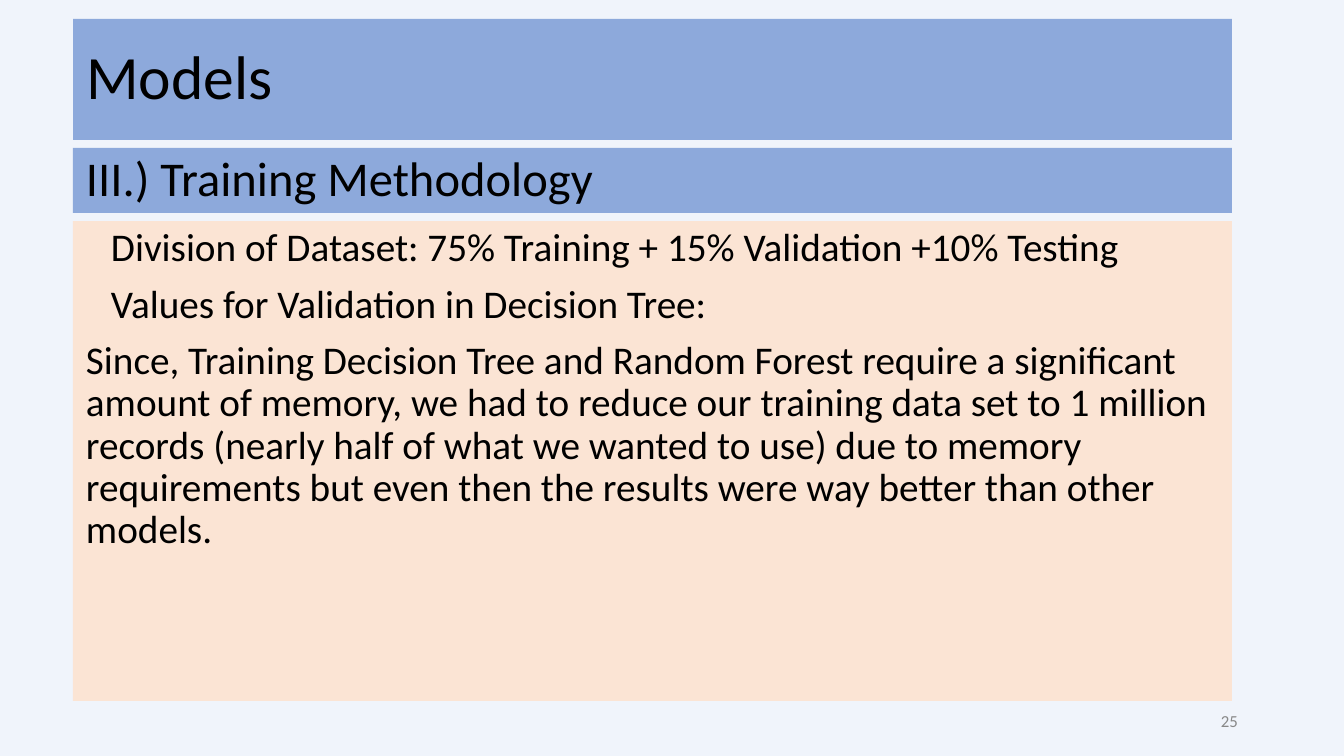
from pptx import Presentation
from pptx.dml.color import RGBColor
from pptx.enum.text import MSO_ANCHOR, MSO_AUTO_SIZE, PP_ALIGN
from pptx.util import Pt

TOP, MIDDLE = MSO_ANCHOR.TOP, MSO_ANCHOR.MIDDLE
LEFT, RIGHT = PP_ALIGN.LEFT, PP_ALIGN.RIGHT
NO_AUTOFIT = MSO_AUTO_SIZE.NONE

EMU_PER_PX = 914400 / 134.4
SLIDE_WIDTH, SLIDE_HEIGHT = 1344, 756
PANEL_LEFT, PANEL_WIDTH = 73, 1159
PANEL_TOP, PANEL_GAP = 19, 8
INSET_X, INSET_Y = 13, 7
FONT = "Calibri"
COLORS = {
    "background": "F0F4FB",
    "heading": "8DA9DB",
    "body": "FBE4D4",
    "text": "000000",
    "number": "888888",
}

TITLE = [("Models", 0)]
SUBTITLE = [("III.) Training Methodology", 0)]
BODY = [
    ("Division of Dataset: 75% Training + 15% Validation +10% Testing", 25),
    ("Values for Validation in Decision Tree:", 25),
    ("Since, Training Decision Tree and Random Forest require a significant "
     "amount of memory, we had to reduce our training data set to 1 million "
     "records (nearly half of what we wanted to use) due to memory "
     "requirements but even then the results were way better than other "
     "models.", 0),
]
PAGE_NUMBER = [("25", 0)]

PANELS = [
    (TITLE, 121, "heading", 33, MIDDLE, 0),
    (SUBTITLE, 65, "heading", 26, MIDDLE, 0),
    (BODY, 480, "body", 21, TOP, 7.5),
]


def px(length):
    return round(length * EMU_PER_PX)


def rgb(name):
    return RGBColor.from_string(COLORS[name])


def place(part, left, top, width, height):
    part.left, part.top = px(left), px(top)
    part.width, part.height = px(width), px(height)


def write(part, lines, size, color="text", anchor=MIDDLE, align=LEFT,
          spacing=0.9, before=0):
    frame = part.text_frame
    frame.word_wrap = True
    frame.auto_size = NO_AUTOFIT
    frame.vertical_anchor = anchor
    frame.margin_left = frame.margin_right = px(INSET_X)
    frame.margin_top = frame.margin_bottom = px(INSET_Y)
    for index, (text, indent) in enumerate(lines):
        paragraph = frame.add_paragraph() if index else frame.paragraphs[0]
        paragraph.alignment = align
        paragraph.line_spacing = spacing
        paragraph.space_before = Pt(before)
        if indent:
            properties = paragraph._p.get_or_add_pPr()
            properties.set("marL", str(px(indent)))
            properties.set("indent", "0")
        run = paragraph.add_run()
        run.text = text
        run.font.name = FONT
        run.font.size = Pt(size)
        run.font.color.rgb = rgb(color)


def main():
    deck = Presentation()
    deck.slide_width, deck.slide_height = px(SLIDE_WIDTH), px(SLIDE_HEIGHT)
    slide = deck.slides.add_slide(deck.slide_layouts.get_by_name("Title Only"))
    slide.background.fill.solid()
    slide.background.fill.fore_color.rgb = rgb("background")

    top = PANEL_TOP
    for lines, height, fill, size, anchor, before in PANELS:
        if lines is TITLE:
            panel = slide.shapes.title
        else:
            panel = slide.shapes.add_textbox(0, 0, 0, 0)
        place(panel, PANEL_LEFT, top, PANEL_WIDTH, height)
        panel.fill.solid()
        panel.fill.fore_color.rgb = rgb(fill)
        write(panel, lines, size, anchor=anchor, before=before)
        top += height + PANEL_GAP

    number = slide.shapes.add_textbox(0, 0, 0, 0)
    place(number, 949, 701, 302, 40)
    write(number, PAGE_NUMBER, 9, color="number", align=RIGHT, spacing=1.0)

    deck.save("out.pptx")


if __name__ == "__main__":
    main()
